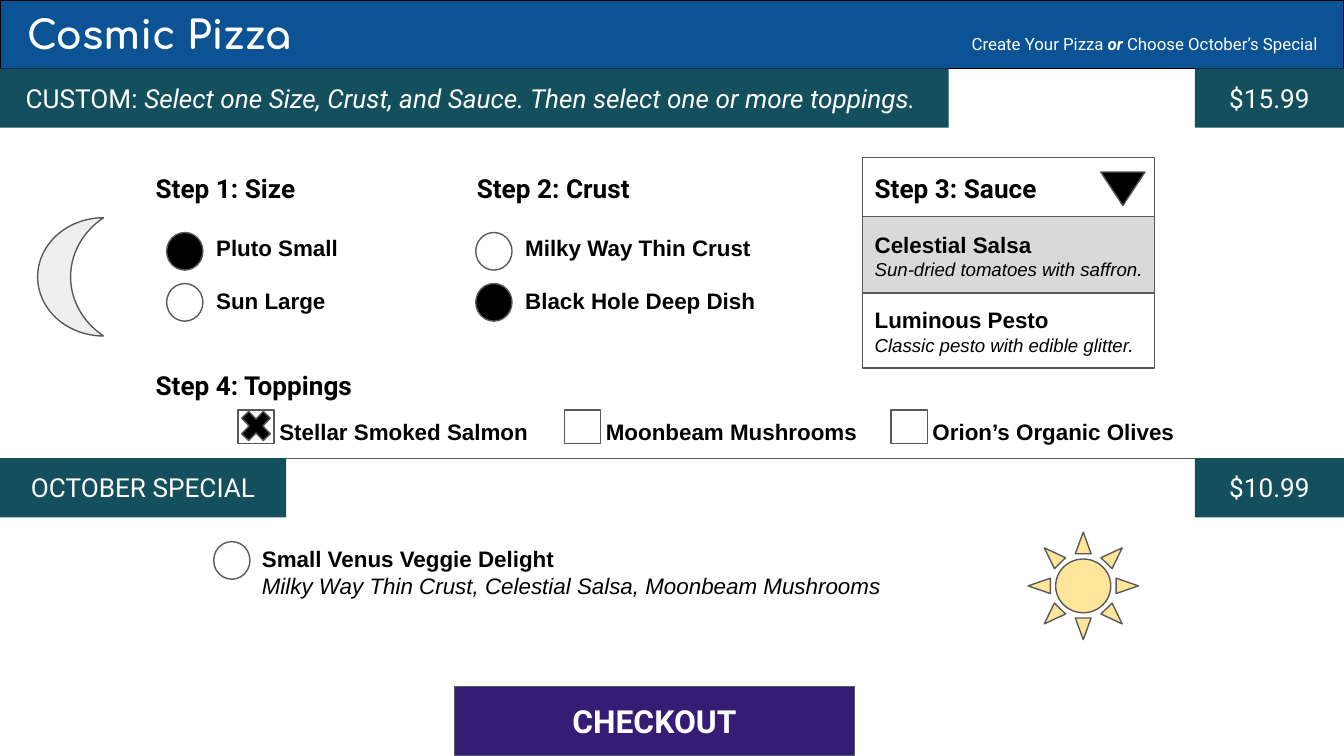
import pptx
import pptx.dml.color
import pptx.enum.shapes
import pptx.enum.text
import pptx.oxml
import pptx.oxml.ns
import pptx.util

SHAPE = pptx.enum.shapes.MSO_SHAPE
ALIGN = pptx.enum.text.PP_ALIGN
ANCHOR = pptx.enum.text.MSO_ANCHOR
PX = 9144  # EMU in one px, 100 px to the inch
SLIDE_WIDTH = 1000
INSET = 10
OUTLINE, BLACK, WHITE, TEAL = "595959", "000000", "FFFFFF", "134F5C"

# Text styles
ITEM = {"name": "Arial", "size": 12, "color": BLACK, "bold": True, "italic": False}
DETAIL = {**ITEM, "bold": False, "italic": True}
NOTE = {**DETAIL, "size": 10}
STEP = {**ITEM, "name": "Roboto", "size": 14}
BAND = {**STEP, "bold": False, "color": WHITE}
HINT = {**BAND, "italic": True}
BRAND = {**STEP, "name": "Comfortaa", "size": 21, "color": WHITE}
NAV = {**BAND, "size": 9}
NAV_OR = {**NAV, "bold": True, "italic": True}
BUTTON = {**STEP, "size": 17, "color": WHITE}

# Content: a paragraph is a list of (text, style) runs
brand = [[("Cosmic Pizza", BRAND)]]
navigation = [[("Create Your Pizza ", NAV), ("or", NAV_OR), (" Choose October’s Special", NAV)]]
bands = [
    ((0, 51, 706, 44), [("CUSTOM: ", BAND),
                        ("Select one Size, Crust, and Sauce. Then select one or more toppings. ", HINT)]),
    ((889, 51, 111, 44), [("$15.99", BAND)]),
    ((0, 341, 213, 44), [("OCTOBER SPECIAL", BAND)]),
    ((889, 341, 111, 44), [("$10.99", BAND)]),
]
steps = [
    ("Step 1: Size", (106, 118, 143, 44)),
    ("Step 2: Crust", (345, 118, 143, 44)),
    ("Step 3: Sauce", (641, 118, 143, 44)),
    ("Step 4: Toppings", (106, 265, 190, 36)),
]
radio_groups = [  # left, label width, options, chosen option
    (124, 146, ["Pluto Small", "Sun Large"], 0),
    (354, 210, ["Milky Way Thin Crust", "Black Hole Deep Dish"], 1),
]
sauce_cells = [(117, 44, None), (161, 57, "D9D9D9"), (218, 56, None)]  # top, height, fill
sauces = [
    ("Celestial Salsa", "Sun-dried tomatoes with saffron."),
    ("Luminous Pesto", "Classic pesto with edible glitter."),
]
toppings = ["Stellar Smoked Salmon", "Moonbeam Mushrooms", "Orion’s Organic Olives"]
special = [
    [("Small Venus Veggie Delight", ITEM)],
    [("Milky Way Thin Crust, Celestial Salsa, Moonbeam Mushrooms", DETAIL)],
]

OPTION_TOP, OPTION_PITCH, OPTION_GAP = 173, 38, 14
TOPPING_LEFT, TOPPING_PITCH, TOPPING_LABEL = 177, 243, 21
RADIO_WIDTH, RADIO_HEIGHT = 27, 28

deck = pptx.Presentation()
deck.slide_width = SLIDE_WIDTH * PX
deck.slide_height = SLIDE_WIDTH * PX * 9 // 16
slide = deck.slides.add_slide(deck.slide_layouts[5])


def rgb(color):
    return pptx.dml.color.RGBColor.from_string(color)


def paint(shape, fill, line):
    if fill:
        shape.fill.solid()
        shape.fill.fore_color.rgb = rgb(fill)
    else:
        shape.fill.background()
    if line:
        shape.line.color.rgb = rgb(line)
        shape.line.width = pptx.util.Pt(0.75)
    else:
        shape.line.fill.background()


def write(shape, paragraphs, align=ALIGN.LEFT, anchor=ANCHOR.TOP, gaps=(), left_inset=INSET):
    """Fill the shape with paragraphs; gaps maps a paragraph's index to the points above it."""
    frame = shape.text_frame
    layout = {"word_wrap": True, "auto_size": pptx.enum.text.MSO_AUTO_SIZE.NONE,
              "vertical_anchor": anchor, "margin_left": left_inset * PX,
              "margin_right": INSET * PX, "margin_top": INSET * PX, "margin_bottom": INSET * PX}
    for key, value in layout.items():
        setattr(frame, key, value)
    for index, runs in enumerate(paragraphs):
        paragraph = frame.add_paragraph() if index else frame.paragraphs[0]
        paragraph.alignment = align
        paragraph.space_before = pptx.util.Pt(dict(gaps).get(index, 0))
        for text, style in runs:
            run = paragraph.add_run()
            run.text = text
            for key, value in style.items():
                if key == "color":
                    run.font.color.rgb = rgb(value)
                else:
                    setattr(run.font, key, pptx.util.Pt(value) if key == "size" else value)


def add_shape(preset, box, fill=None, line=OUTLINE, adjust=None):
    shape = slide.shapes.add_shape(preset, *(n * PX for n in box))
    shape.shadow.inherit = False
    paint(shape, fill, line)
    if adjust is not None:
        shape.adjustments[0] = adjust
    return shape


def add_text(box, paragraphs, **options):
    write(slide.shapes.add_textbox(*(n * PX for n in box)), paragraphs, **options)


def add_radio(left, top, chosen=False):
    add_shape(SHAPE.OVAL, (left, top, RADIO_WIDTH, RADIO_HEIGHT), BLACK if chosen else WHITE)


# Header
header = slide.shapes.title
header.left, header.top, header.width, header.height = 0, 0, SLIDE_WIDTH * PX, 51 * PX
paint(header, "0B5394", BLACK)
write(header, brand, anchor=ANCHOR.MIDDLE, left_inset=20)
add_text((600, 15, 390, 35), navigation, align=ALIGN.RIGHT)

# Section bands
divider = slide.shapes.add_connector(
    pptx.enum.shapes.MSO_CONNECTOR.STRAIGHT, 0, 341 * PX, SLIDE_WIDTH * PX, 341 * PX)
divider.line.color.rgb = rgb(OUTLINE)
divider.line.width = pptx.util.Pt(0.75)
divider.element.spPr.append(pptx.oxml.parse_xml(
    "<a:effectLst %s/>" % pptx.oxml.ns.nsdecls("a")))
for box, runs in bands:
    write(add_shape(SHAPE.RECTANGLE, box, TEAL, None), [runs], align=ALIGN.CENTER)

# Size and crust
for left, width, options, chosen in radio_groups:
    for row in range(len(options)):
        add_radio(left, OPTION_TOP + row * OPTION_PITCH, row == chosen)
    add_text((left + RADIO_WIDTH, 164, width, 107), [[(option, ITEM)] for option in options],
             gaps={1: OPTION_GAP})

# Sauce menu
for top, height, fill in sauce_cells:
    add_shape(SHAPE.RECTANGLE, (642, top, 217, height), fill)
add_shape(SHAPE.FLOWCHART_MERGE, (819, 128, 33, 25), BLACK)
sauce_lines = [[(text, style)] for sauce in sauces for text, style in zip(sauce, (ITEM, NOTE))]
add_text((641, 162, 340, 107), sauce_lines, gaps={2: OPTION_GAP})

# Toppings
for index, topping in enumerate(toppings):
    left = TOPPING_LEFT + index * TOPPING_PITCH
    add_shape(SHAPE.RECTANGLE, (left, 305, 27, 25), WHITE)
    add_text((left + TOPPING_LABEL, 301, 220, 36), [[(topping, ITEM)]])
add_shape(SHAPE.MATH_MULTIPLY, (175, 301, 31, 32), BLACK, adjust=0.235)

for heading, box in steps:
    add_text(box, [[(heading, STEP)]])

# October special
add_radio(159, 403)
add_text((185, 396, 498, 107), special)

# Decoration and checkout
add_shape(SHAPE.MOON, (28, 162, 49, 88), "EFEFEF", adjust=0.5)
add_shape(SHAPE.SUN, (765, 396, 82, 80), "FFE599", adjust=0.25)
checkout = add_shape(SHAPE.RECTANGLE, (338, 511, 298, 51), "351C75")
write(checkout, [[("CHECKOUT", BUTTON)]], align=ALIGN.CENTER, anchor=ANCHOR.MIDDLE)

deck.save("out.pptx")
